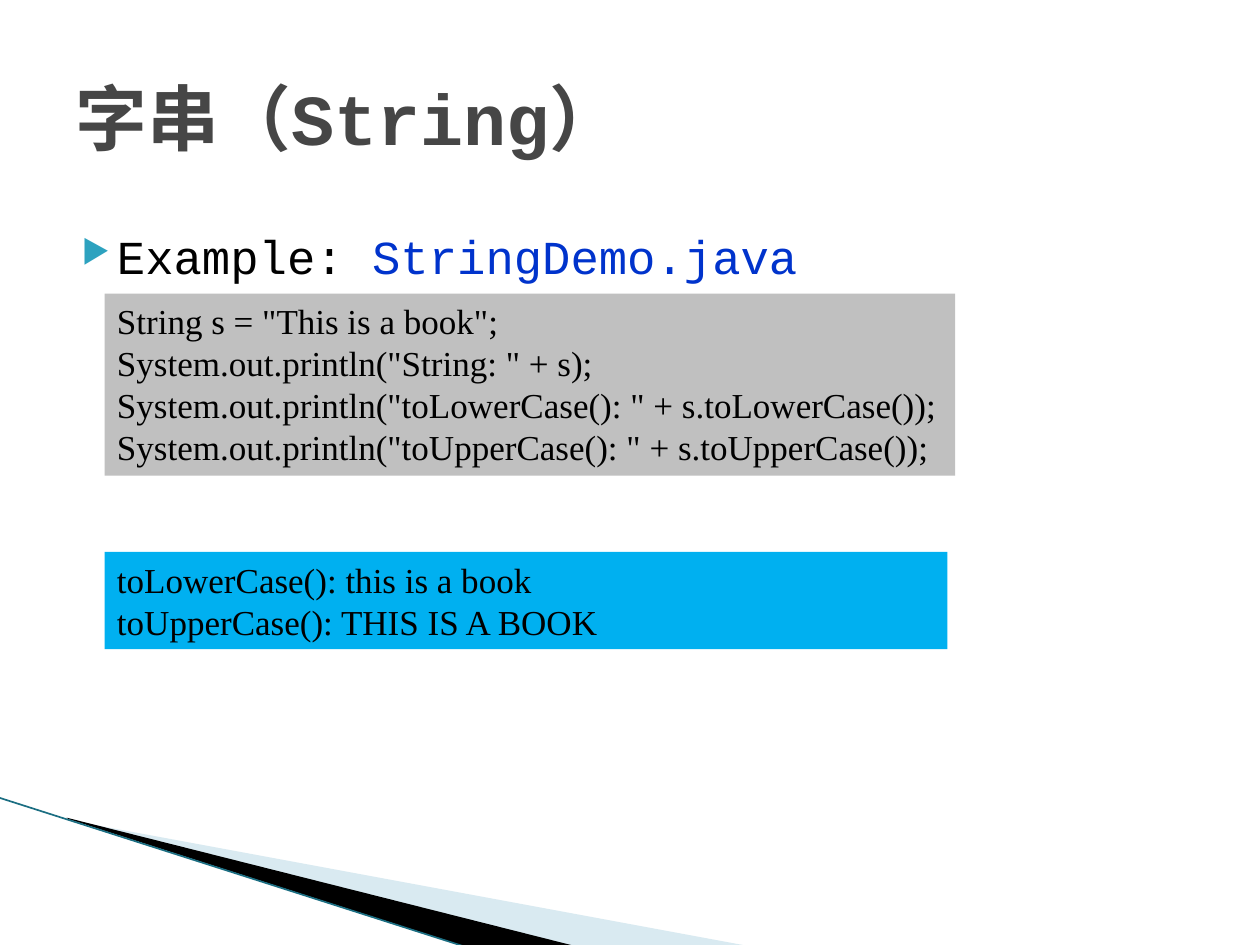
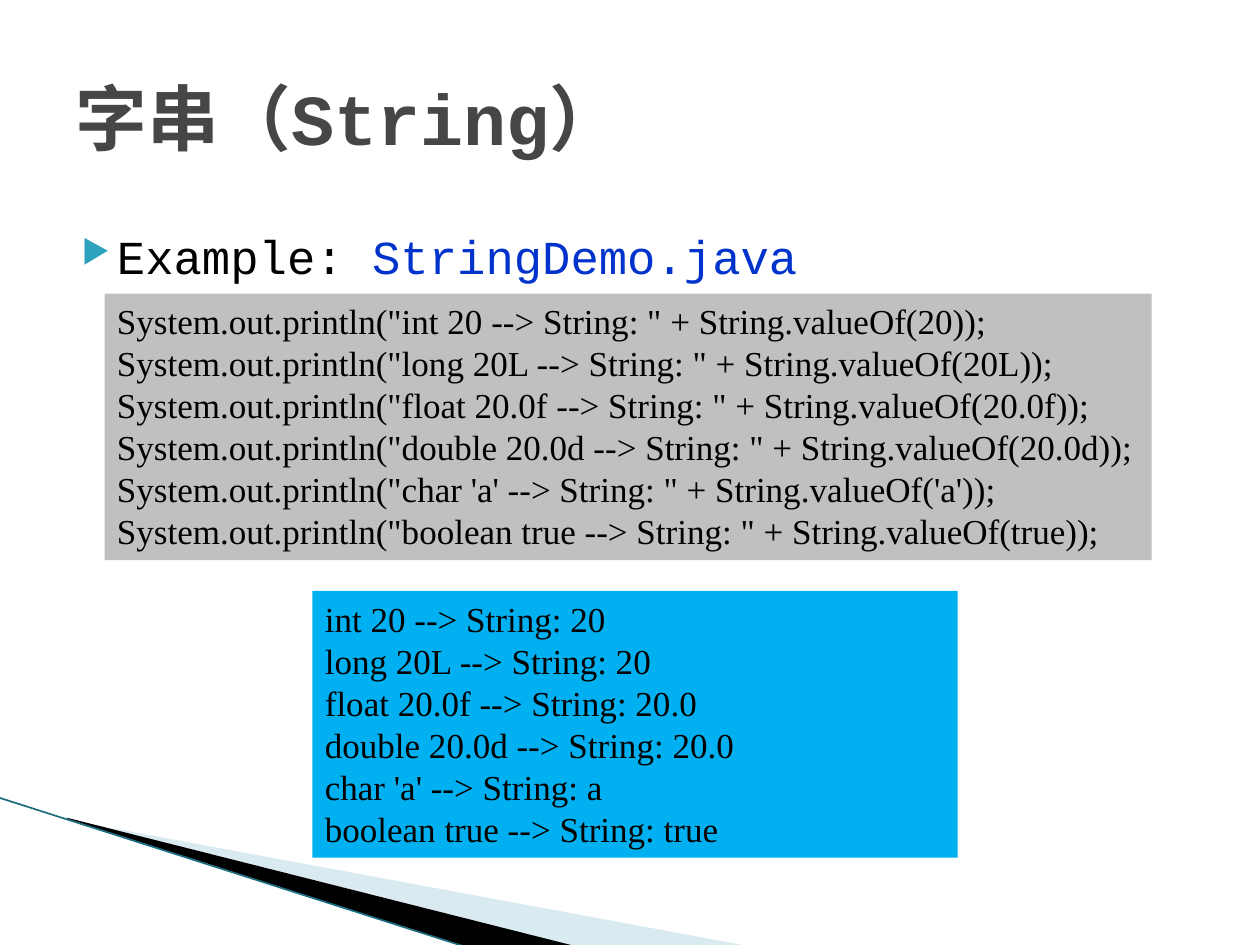
from dataclasses import dataclass

from lxml import etree
from pptx import Presentation
from pptx import util as u
from pptx.dml.color import RGBColor
from pptx.enum import shapes, text
from pptx.oxml import ns


@dataclass(frozen=True)
class Theme:
    title: str = "464646"
    ink: str = "000000"
    file_name: str = "0033CC"
    bullet: str = "2DA2BF"
    code_fill: str = "C0C0C0"
    output_fill: str = "00B0F0"
    pale_band: str = "A0CBDC"
    dark_band: str = "000000"
    band_line: str = "1B6E82"
    mono: str = "Courier New"
    serif: str = "Times New Roman"
    title_size: int = 41
    body_size: int = 27
    code_size: int = 20
    code_leading: float = 24
    code_row: float = 24.2
    inset: float = 3.6


THEME = Theme()
TITLE = "字串（String）"
CODE_LEFT, CODE_TOP = 59.76, 167.76

CASE_CODE = [
    'String s = "This is a book";',
    'System.out.println("String: " + s);',
    'System.out.println("toLowerCase(): " + s.toLowerCase());',
    'System.out.println("toUpperCase(): " + s.toUpperCase());',
]
CASE_OUTPUT = ["toLowerCase(): this is a book", "toUpperCase(): THIS IS A BOOK"]

CONVERSIONS = [
    ("int 20", "20", "20"),
    ("long 20L", "20L", "20"),
    ("float 20.0f", "20.0f", "20.0"),
    ("double 20.0d", "20.0d", "20.0"),
    ("char 'a'", "'a'", "a"),
    ("boolean true", "true", "true"),
]
VALUE_CODE = [
    f'System.out.println("{label} --> String: " + String.valueOf({argument}));'
    for label, argument, _ in CONVERSIONS
]
VALUE_OUTPUT = [f"{label} --> String: {result}" for label, _, result in CONVERSIONS]


def rgb(value):
    return RGBColor.from_string(value)


def add_span(para, words, *, font, size, color=THEME.ink, bold=False):
    span = para.add_run()
    span.text = words
    span.font.name = font
    span.font.size = u.Pt(size)
    span.font.bold = bold
    span.font.color.rgb = rgb(color)


def fill_shape(shape, color):
    shape.shadow.inherit = False
    shape.fill.solid()
    shape.fill.fore_color.rgb = rgb(color)
    shape.line.fill.background()


def add_band(page, points, color, opacity=100):
    start, *rest = [(u.Pt(x), u.Pt(y)) for x, y in points]
    builder = page.shapes.build_freeform(*start, scale=1.0)
    builder.add_line_segments(rest, close=True)
    band = builder.convert_to_shape()
    fill_shape(band, color)
    if opacity < 100:
        tone = band.element.spPr.find(".//" + ns.qn("a:srgbClr"))
        etree.SubElement(tone, ns.qn("a:alpha"), val=str(opacity * 1000))


def add_corner(page):
    add_band(page, [(39.6, 468.72), (428.4, 540.72), (328.32, 540.72), (39.6, 468)],
             THEME.pale_band, opacity=40)
    add_band(page, [(38.16, 467.28), (329.04, 540.72), (267.84, 541.44), (38.88, 468)],
             THEME.dark_band)
    edge = page.shapes.add_connector(
        shapes.MSO_CONNECTOR.STRAIGHT,
        u.Pt(-0.72), u.Pt(455.76), u.Pt(267.12), u.Pt(541.44))
    edge.line.color.rgb = rgb(THEME.band_line)
    edge.line.width = u.Pt(0.95)
    etree.SubElement(edge.element.spPr, ns.qn("a:effectLst"))


def set_title(page, words):
    title = page.shapes.title
    title.left, title.top = u.Pt(36), u.Pt(21.6)
    title.width, title.height = u.Pt(648), u.Pt(90)
    frame = title.text_frame
    frame.auto_size = text.MSO_AUTO_SIZE.NONE
    frame.vertical_anchor = text.MSO_ANCHOR.MIDDLE
    para = frame.paragraphs[0]
    para.alignment = text.PP_ALIGN.LEFT
    add_span(para, words, font=THEME.mono, size=THEME.title_size,
             color=THEME.title, bold=True)


def add_bullet(para):
    props = para._p.get_or_add_pPr()
    props.set("marL", str(u.Pt(28.8)))
    props.set("indent", str(u.Pt(-20.16)))
    color = etree.SubElement(props, ns.qn("a:buClr"))
    etree.SubElement(color, ns.qn("a:srgbClr"), val=THEME.bullet)
    etree.SubElement(props, ns.qn("a:buSzPct"), val="68000")
    etree.SubElement(props, ns.qn("a:buChar"), char="▶")


def add_example_line(page, file_name):
    box = page.shapes.add_textbox(u.Pt(30.96), u.Pt(122.4), u.Pt(671.04), u.Pt(45.36))
    frame = box.text_frame
    frame.word_wrap = True
    frame.margin_top = u.Pt(THEME.inset + 4)
    para = frame.paragraphs[0]
    add_bullet(para)
    add_span(para, "Example: ", font=THEME.mono, size=THEME.body_size)
    add_span(para, file_name, font=THEME.mono, size=THEME.body_size,
             color=THEME.file_name)


def add_listing(page, lines, *, left, top, width, color):
    height = 2 * THEME.inset + THEME.code_row * len(lines)
    box = page.shapes.add_shape(shapes.MSO_SHAPE.RECTANGLE, u.Pt(left), u.Pt(top),
                                u.Pt(width), u.Pt(height))
    fill_shape(box, color)
    frame = box.text_frame
    frame.word_wrap = True
    frame.vertical_anchor = text.MSO_ANCHOR.TOP
    for index, line in enumerate(lines):
        para = frame.add_paragraph() if index else frame.paragraphs[0]
        para.alignment = text.PP_ALIGN.LEFT
        para.line_spacing = u.Pt(THEME.code_leading)
        add_span(para, line, font=THEME.serif, size=THEME.code_size)


def add_example_page(deck, code, code_width, output, **output_place):
    page = deck.slides.add_slide(deck.slide_layouts[5])
    add_corner(page)
    set_title(page, TITLE)
    add_example_line(page, "StringDemo.java")
    add_listing(page, code, left=CODE_LEFT, top=CODE_TOP, width=code_width,
                color=THEME.code_fill)
    add_listing(page, output, color=THEME.output_fill, **output_place)


def main():
    deck = Presentation()
    deck.slide_width, deck.slide_height = u.Pt(720), u.Pt(540)
    add_example_page(deck, CASE_CODE, 486, CASE_OUTPUT,
                     left=CODE_LEFT, top=315.36, width=481.68)
    add_example_page(deck, VALUE_CODE, 598.32, VALUE_OUTPUT,
                     left=178.56, top=337.68, width=368.64)
    deck.save("out.pptx")


if __name__ == "__main__":
    main()
